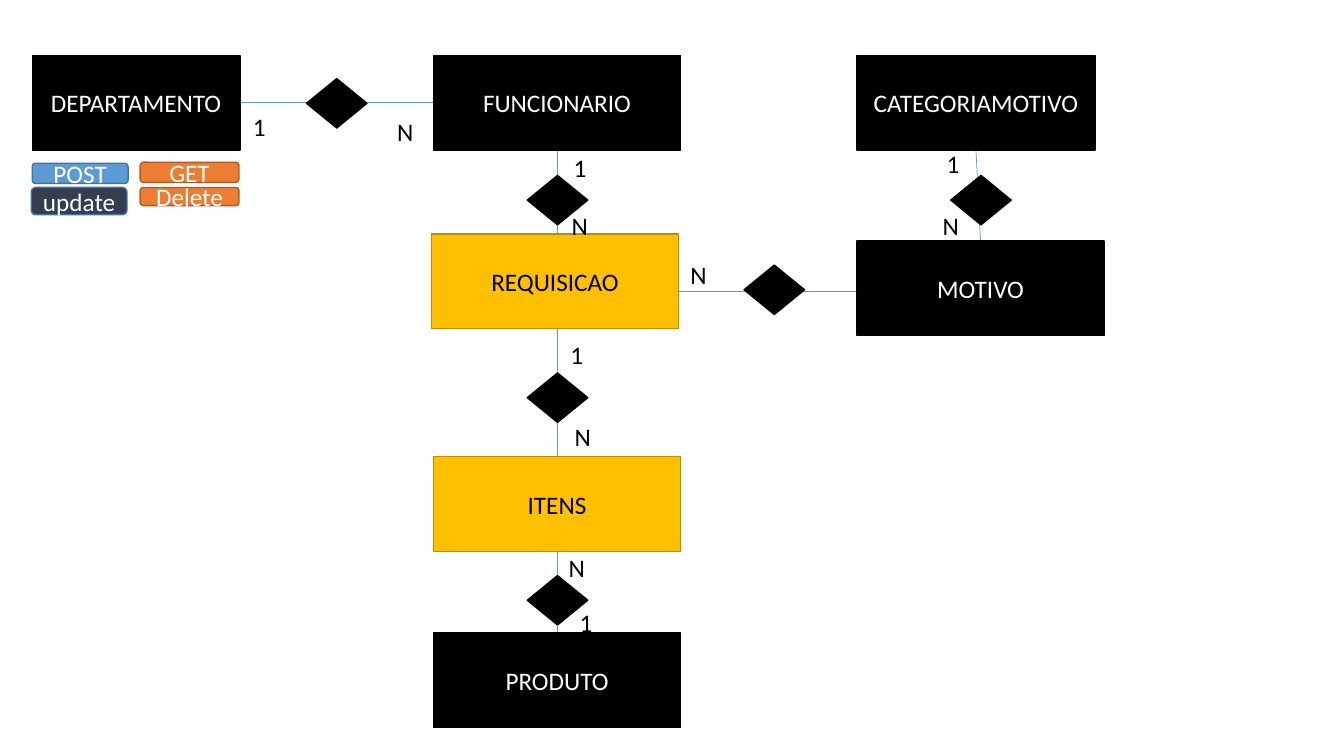
"""Build an entity-relationship diagram of a requisition system."""
from lxml.etree import SubElement
from pptx import Presentation
from pptx.dml.color import RGBColor
from pptx.enum.shapes import MSO_CONNECTOR, MSO_SHAPE
from pptx.enum.text import MSO_ANCHOR, MSO_AUTO_SIZE, PP_ALIGN
from pptx.oxml.ns import qn
from pptx.util import Inches, Pt


def set_text(sp, text, color, align):
    tf = sp.text_frame
    tf.word_wrap = True
    p = tf.paragraphs[0]
    p.text = text
    p.alignment = align
    p.font.name = "Calibri"
    p.font.size = Pt(18)
    p.font.color.rgb = RGBColor.from_string(color)


def add_box(kind, x, y, w, h, fill, line, text="", color="FFFFFF"):
    sp = s.shapes.add_shape(kind, Inches(x), Inches(y), Inches(w), Inches(h))
    sp.shadow.inherit = False
    sp.fill.solid()
    sp.fill.fore_color.rgb = RGBColor.from_string(fill)
    sp.line.color.rgb = RGBColor.from_string(line)
    sp.line.width = Pt(1)
    if text:
        sp.text_frame.vertical_anchor = MSO_ANCHOR.MIDDLE
        set_text(sp, text, color, PP_ALIGN.CENTER)
    return sp


prs = Presentation()
prs.slide_width, prs.slide_height = Inches(13.33), Inches(7.5)
s = prs.slides.add_slide(prs.slide_layouts[6])

links = []
for x1, y1, x2, y2 in [
    (9.68, 1.49, 9.73, 2.39),
    (2.38, 1.02, 4.3, 1.02),
    (5.53, 1.49, 5.53, 6.28),
    (6.63, 2.89, 8.56, 2.89),
]:
    link = s.shapes.add_connector(
        MSO_CONNECTOR.STRAIGHT, Inches(x1), Inches(y1), Inches(x2), Inches(y2))
    link.line.color.rgb = RGBColor.from_string("5B9BD5")
    link.line.width = Pt(0.5)
    SubElement(link._element.spPr, qn("a:effectLst"))
    links.append(link)

black = ("000000", "000000", "FFFFFF")
gold = ("FFC000", "BD8E00", "000000")
entities = {}
for name, x, y, w, (fill, line, color) in [
    ("FUNCIONARIO", 4.3, 0.55, 2.45, black),
    ("DEPARTAMENTO", 0.32, 0.55, 2.06, black),
    ("CATEGORIAMOTIVO", 8.5, 0.55, 2.36, black),
    ("MOTIVO", 8.5, 2.39, 2.45, black),
    ("REQUISICAO", 4.28, 2.32, 2.45, gold),
    ("PRODUTO", 4.3, 6.28, 2.45, black),
    ("ITENS", 4.3, 4.53, 2.45, gold),
]:
    entities[name] = add_box(
        MSO_SHAPE.RECTANGLE, x, y, w, 0.94, fill, line, name, color)

for link, (start, start_side, end, end_side) in zip(links, [
    ("CATEGORIAMOTIVO", 2, "MOTIVO", 0),
    ("DEPARTAMENTO", 3, "FUNCIONARIO", 1),
    ("FUNCIONARIO", 2, "PRODUTO", 0),
]):
    link.begin_connect(entities[start], start_side)
    link.end_connect(entities[end], end_side)

for x, y in [(5.23, 1.74), (5.23, 3.7), (5.23, 5.71),
             (3.04, 0.78), (9.43, 1.74), (7.38, 2.63)]:
    add_box(MSO_SHAPE.DIAMOND, x, y, 0.6, 0.49, "000000", "000000")

for text, x, y in [
    ("1", 2.41, 1.06), ("N", 3.84, 1.11),
    ("1", 5.59, 1.46), ("N", 5.57, 2.04),
    ("N", 6.75, 2.52),
    ("1", 5.56, 3.32), ("N", 5.6, 4.13),
    ("N", 5.54, 5.43), ("1", 5.65, 5.98),
    ("1", 9.29, 1.42), ("N", 9.25, 2.04),
]:
    label = s.shapes.add_textbox(Inches(x), Inches(y), Inches(0.35), Inches(0.4))
    set_text(label, text, "000000", PP_ALIGN.LEFT)
    label.text_frame.auto_size = MSO_AUTO_SIZE.SHAPE_TO_FIT_TEXT

for text, x, y, w, h, fill, line in [
    ("POST", 0.32, 1.62, 0.95, 0.2, "5B9BD5", "43739E"),
    ("GET", 1.39, 1.61, 0.98, 0.2, "ED7D31", "AF5C24"),
    ("update", 0.31, 1.86, 0.95, 0.27, "333F50", "43739E"),
    ("Delete", 1.39, 1.86, 0.98, 0.18, "ED7D31", "AF5C24"),
]:
    add_box(MSO_SHAPE.ROUNDED_RECTANGLE, x, y, w, h, fill, line, text)

prs.save("out.pptx")
